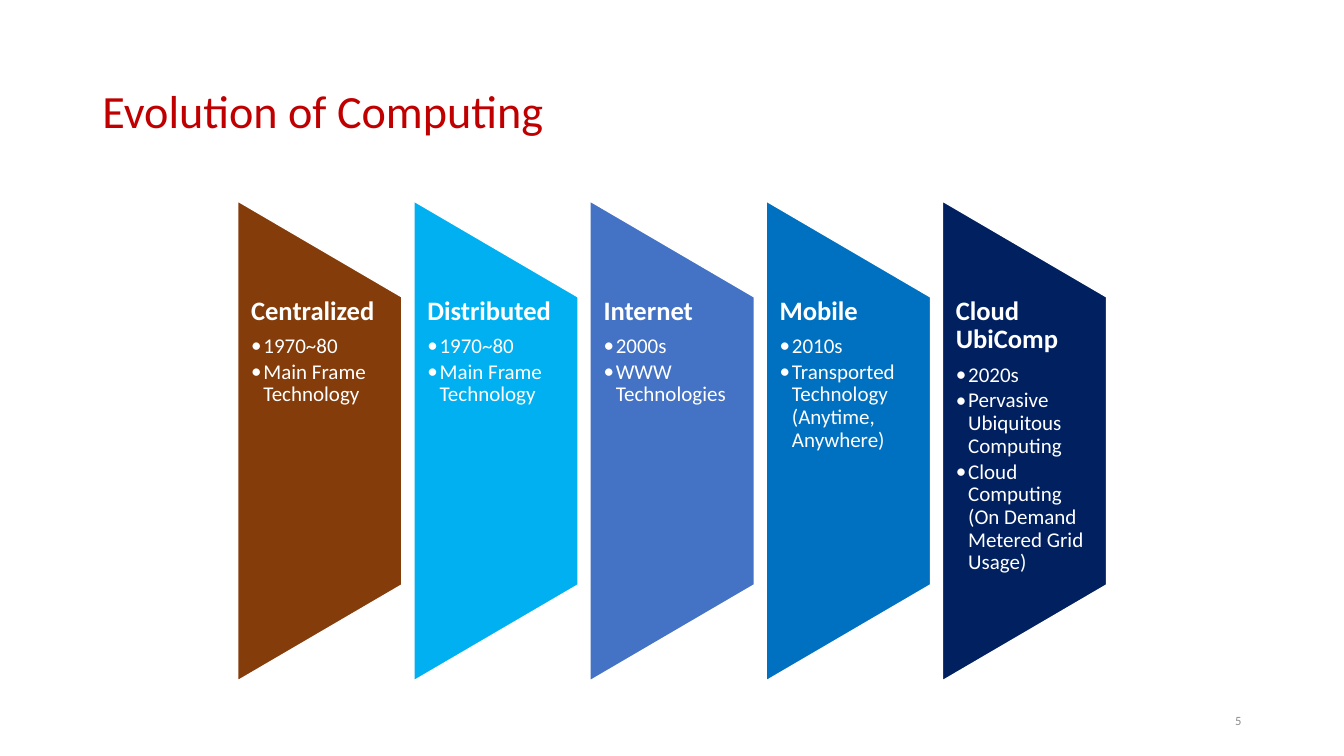
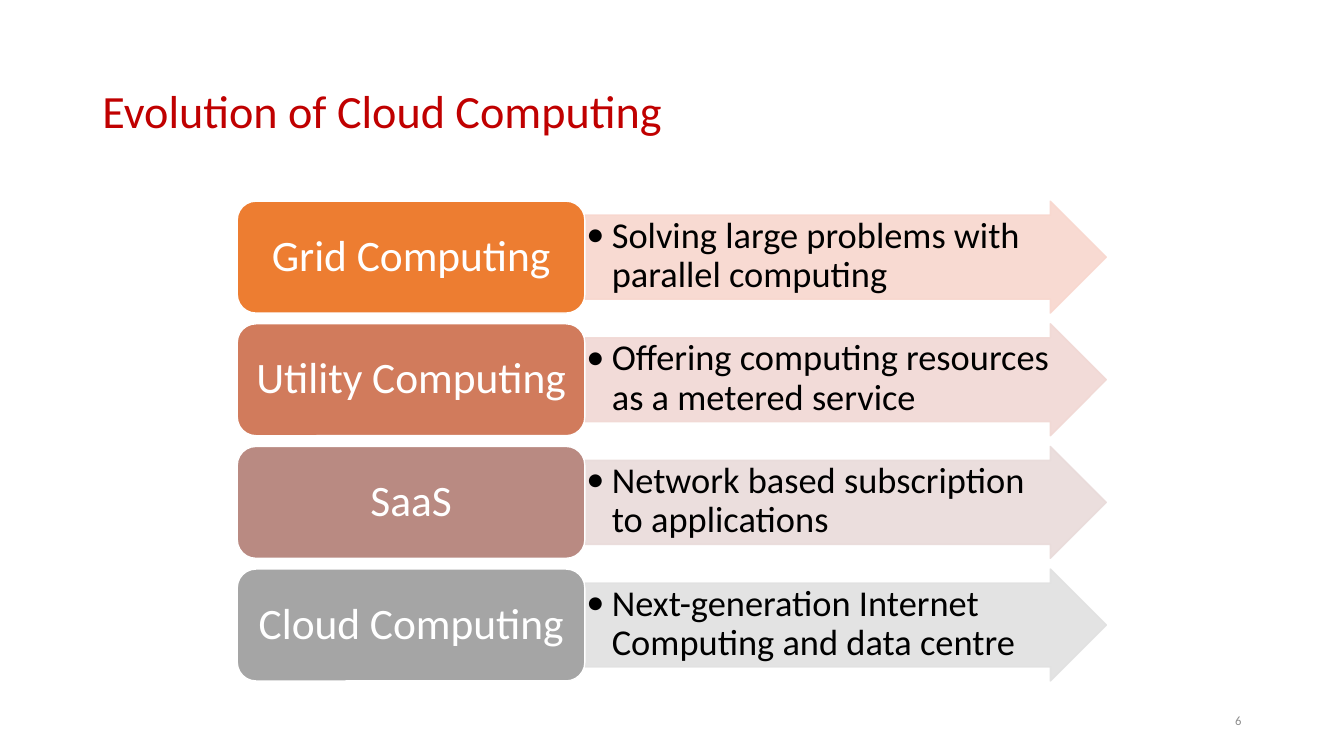
from typing import NamedTuple, Optional

from lxml.etree import SubElement
from pptx import Presentation
from pptx.dml.color import RGBColor
from pptx.enum.shapes import MSO_SHAPE
from pptx.enum.text import MSO_ANCHOR, PP_ALIGN
from pptx.oxml.ns import qn
from pptx.util import Cm, Pt

# Shared look
WHITE, BLACK, RED, GREY = "FFFFFF", "000000", "C00000", "8C8C8C"
TITLE = {"size": Pt(33), "color": RED}
NUMBER = {"size": Pt(9), "color": GREY}
ERA_HEAD = {"size": Pt(19), "color": WHITE, "bold": True}
ERA_ITEM = {"size": Pt(15), "color": WHITE}
STAGE_NAME = {"size": Pt(31), "color": WHITE}
STAGE_NOTE = {"size": Pt(26), "color": BLACK}


class Box(NamedTuple):
    """Left, top, width and height in centimetres."""
    left: float
    top: float
    width: float
    height: float

    def emu(self) -> list:
        return [Cm(v) for v in self]


class Era(NamedTuple):
    name: str
    fill: str
    items: list


class Stage(NamedTuple):
    name: str
    fill: str
    tint: str
    note: str


ERAS = [
    Era("Centralized", "843C0B", ["1970~80", "Main Frame Technology"]),
    Era("Distributed", "00B0F0", ["1970~80", "Main Frame Technology"]),
    Era("Internet", "4472C4", ["2000s", "WWW Technologies"]),
    Era("Mobile", "0070C0",
        ["2010s", "Transported Technology (Anytime, Anywhere)"]),
    Era("Cloud UbiComp", "002060",
        ["2020s", "Pervasive Ubiquitous Computing",
         "Cloud Computing (On Demand Metered Grid Usage)"]),
]
STAGES = [
    Stage("Grid Computing", "ED7D31", "F8D7CE",
          "Solving large problems with parallel computing"),
    Stage("Utility Computing", "D17B5C", "F1D8D4",
          "Offering computing resources as a metered service"),
    Stage("SaaS", "B98A82", "E9DBDA",
          "Network based subscription to applications"),
    Stage("Cloud Computing", "A5A5A5", "E1E1E1",
          "Next-generation Internet Computing and data centre"),
]


def rgb(color: str) -> RGBColor:
    return RGBColor.from_string(color)


# Text helpers
def frame(sp, anchor=MSO_ANCHOR.TOP, insets=(0.25, 0.13, 0.25, 0.13)):
    """Set up a text frame; insets are left, top, right, bottom."""
    tf = sp.text_frame
    left, top, right, bottom = [Cm(v) for v in insets]
    formats = {"word_wrap": True, "vertical_anchor": anchor,
               "margin_left": left, "margin_top": top,
               "margin_right": right, "margin_bottom": bottom}
    for name, value in formats.items():
        setattr(tf, name, value)
    return tf


def write(p, text: str, font: dict, align=PP_ALIGN.LEFT, spacing: float = 0.9,
          after: float = 0, indent: Optional[float] = None) -> None:
    """Fill a paragraph; an indent in centimetres makes it a bullet."""
    if indent is not None:
        pPr = p._p.get_or_add_pPr()
        pPr.set("marL", str(Cm(indent)))
        pPr.set("indent", str(-Cm(indent)))
        SubElement(pPr, qn("a:buFont")).set("typeface", "Calibri")
        SubElement(pPr, qn("a:buChar")).set("char", "•")
    p.alignment, p.line_spacing, p.space_after = align, spacing, Pt(after)
    r = p.add_run()
    r.text = text
    r.font.name = "Calibri"
    for name, value in font.items():
        if name == "color":
            r.font.color.rgb = rgb(value)
        else:
            setattr(r.font, name, value)


# Shape helper
def add_shape(s, kind, box: Box, fill: str, line: str = WHITE,
              opacity: int = 100):
    sp = s.shapes.add_shape(kind, *box.emu())
    sp.shadow.inherit = False
    sp.fill.solid()
    sp.fill.fore_color.rgb = rgb(fill)
    sp.line.color.rgb = rgb(line)
    sp.line.width = Pt(1)
    if opacity < 100:
        for clr in sp._element.spPr.iter(qn("a:srgbClr")):
            SubElement(clr, qn("a:alpha")).set("val", str(opacity * 1000))
    return sp


def add_slide(prs, title: str, number: int):
    """Blank slide with the shared title and page number."""
    s = prs.slides.add_slide(prs.slide_layouts[6])
    tf = frame(s.shapes.add_textbox(*Box(2.33, 1.02, 29.21, 3.68).emu()),
               MSO_ANCHOR.MIDDLE)
    write(tf.paragraphs[0], title, TITLE)
    tf = frame(s.shapes.add_textbox(*Box(23.92, 17.66, 7.62, 1.01).emu()),
               MSO_ANCHOR.MIDDLE)
    write(tf.paragraphs[0], str(number), NUMBER, PP_ALIGN.RIGHT, 1.0)
    return s


def draw_era(s, era: Era, index: int) -> None:
    """Upright trapezoid with a heading and bullets."""
    length, width, mid_y = 12.09, 4.14, 11.11
    left = 5.99 + index * 4.44
    sp = add_shape(s, MSO_SHAPE.FLOWCHART_MANUAL_OPERATION,
                   Box(left + (width - length) / 2, mid_y - width / 2,
                       length, width), era.fill)
    sp.rotation = 270
    text = s.shapes.add_textbox(*Box(left, 7.49, width, 7.26).emu())
    tf = frame(text, insets=(0.34, 0, 0.32, 0))
    write(tf.paragraphs[0], era.name, ERA_HEAD, after=6.65)
    for item in era.items:
        write(tf.add_paragraph(), item, ERA_ITEM, after=2.25, indent=0.31)


def draw_stage(s, stage: Stage, index: int) -> None:
    """Rounded label with an arrow that explains it."""
    left, width, height, arrow_width = 5.98, 8.76, 2.82, 13.14
    top = 5.07 + index * 3.09
    arrow = add_shape(s, MSO_SHAPE.RIGHT_ARROW,
                      Box(left + width, top, arrow_width, height),
                      stage.tint, stage.tint, 90)
    arrow.adjustments[0] = 0.75
    tf = frame(arrow, insets=(0.04, 0.04, 0.2, 0.04))
    write(tf.paragraphs[0], stage.note, STAGE_NOTE, indent=0.64)
    label = add_shape(s, MSO_SHAPE.ROUNDED_RECTANGLE,
                      Box(left, top, width, height), stage.fill)
    tf = frame(label, MSO_ANCHOR.MIDDLE, (0.2, 0.15, 0.2, 0.15))
    write(tf.paragraphs[0], stage.name, STAGE_NAME, PP_ALIGN.CENTER)


def main() -> None:
    prs = Presentation()
    prs.slide_width, prs.slide_height = Cm(33.87), Cm(19.05)

    s = add_slide(prs, "Evolution of Computing", 5)
    for i, era in enumerate(ERAS):
        draw_era(s, era, i)

    s = add_slide(prs, "Evolution of Cloud Computing", 6)
    for i, stage in enumerate(STAGES):
        draw_stage(s, stage, i)

    prs.save("out.pptx")


if __name__ == "__main__":
    main()
